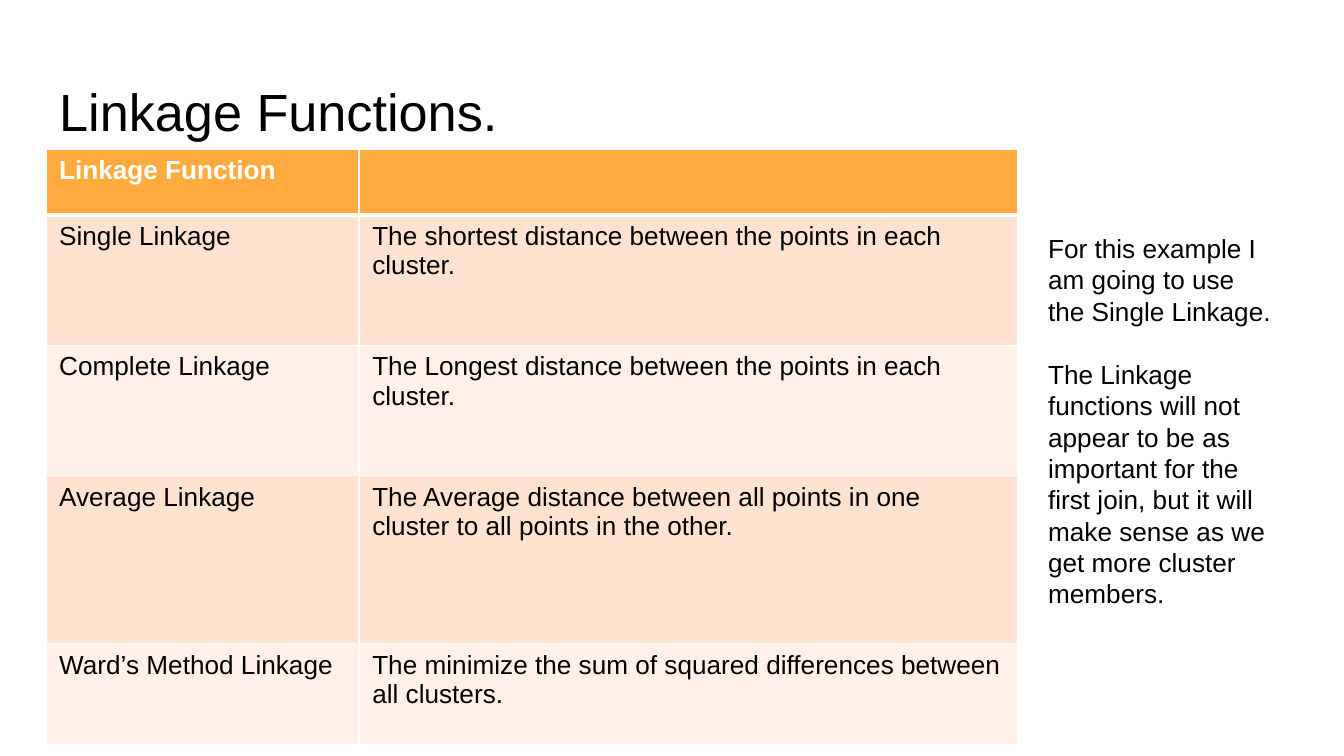
"""Build the linkage functions slide."""
from dataclasses import dataclass

from lxml.etree import SubElement
from pptx import Presentation
from pptx.dml.color import RGBColor as Color
from pptx.enum.text import MSO_ANCHOR as Anchor, MSO_AUTO_SIZE as AutoSize, PP_ALIGN as Align
from pptx.oxml import parse_xml
from pptx.oxml.ns import nsdecls, qn
from pptx.util import Inches, Pt


@dataclass(frozen=True)
class Theme:
    font: str = "Arial"
    text: str = "000000"
    white: str = "FFFFFF"
    header: str = "FFAB40"
    bands: tuple = ("FFE2CF", "FFF1E8")
    title_size: int = 28
    body_size: int = 14


theme = Theme()


def write(frame, *texts, size=theme.body_size, color=theme.text, bold=False, gap=0):
    frame.word_wrap = True
    for index, text in enumerate(texts):
        paragraph = frame.add_paragraph() if index else frame.paragraphs[0]
        paragraph.alignment = Align.LEFT
        paragraph.space_before = Pt(gap if index else 0)
        run = paragraph.add_run()
        run.text = text
        run.font.name = theme.font
        run.font.size = Pt(size)
        run.font.bold = bold
        run.font.color.rgb = Color.from_string(color)


def add_borders(cell, bottom):
    properties = cell._tc.get_or_add_tcPr()
    for index, (side, width) in enumerate({"L": 1, "R": 1, "T": 1, "B": bottom}.items()):
        line = parse_xml(f'<a:ln{side} {nsdecls("a")} w="{Pt(width)}"/>')
        fill = SubElement(line, qn("a:solidFill"))
        SubElement(fill, qn("a:srgbClr"), val=theme.white)
        properties.insert(index, line)


presentation = Presentation()
presentation.slide_width = Inches(10)
presentation.slide_height = Inches(10 * 9 / 16)
slide = presentation.slides.add_slide(presentation.slide_layouts[5])

title = slide.shapes.title
title.left, title.top = Inches(0.34), Inches(0.49)
title.width, title.height = Inches(9.32), Inches(0.63)
title_frame = title.text_frame
title_frame.auto_size = AutoSize.NONE
title_frame.vertical_anchor = Anchor.TOP
title_frame.margin_top = title_frame.margin_bottom = Inches(0.1)
write(title_frame, "Linkage Functions.", size=theme.title_size)

rows = [
    ("Linkage Function", ""),
    ("Single Linkage", "The shortest distance between the points in each cluster."),
    ("Complete Linkage", "The Longest distance between the points in each cluster."),
    ("Average Linkage", "The Average distance between all points in one cluster to all points in the other."),
    ("Ward’s Method Linkage", "The minimize the sum of squared differences between all clusters."),
]
column_widths = [2.33, 4.9]
row_heights = [0.49, 0.97, 0.97, 1.25, 0.75]

table = slide.shapes.add_table(
    len(rows), len(column_widths), Inches(0.34), Inches(1.11),
    Inches(sum(column_widths)), Inches(sum(row_heights)),
).table
for column, width in zip(table.columns, column_widths):
    column.width = Inches(width)
for row_index, (texts, height) in enumerate(zip(rows, row_heights)):
    is_header = row_index == 0
    table.rows[row_index].height = Inches(height)
    fill_color = theme.header if is_header else theme.bands[(row_index - 1) % 2]
    for column_index, text in enumerate(texts):
        cell = table.cell(row_index, column_index)
        cell.fill.solid()
        cell.fill.fore_color.rgb = Color.from_string(fill_color)
        add_borders(cell, bottom=3 if is_header else 1)
        if text:
            write(cell.text_frame, text, color=theme.white if is_header else theme.text, bold=is_header)

note = slide.shapes.add_textbox(Inches(7.7), Inches(1.68), Inches(1.89), Inches(2.93))
note.text_frame.auto_size = AutoSize.SHAPE_TO_FIT_TEXT
write(
    note.text_frame,
    "For this example I am going to use the Single Linkage.",
    "The Linkage functions will not appear to be as important for the first join, "
    "but it will make sense as we get more cluster members.",
    gap=17,
)

presentation.save("out.pptx")
